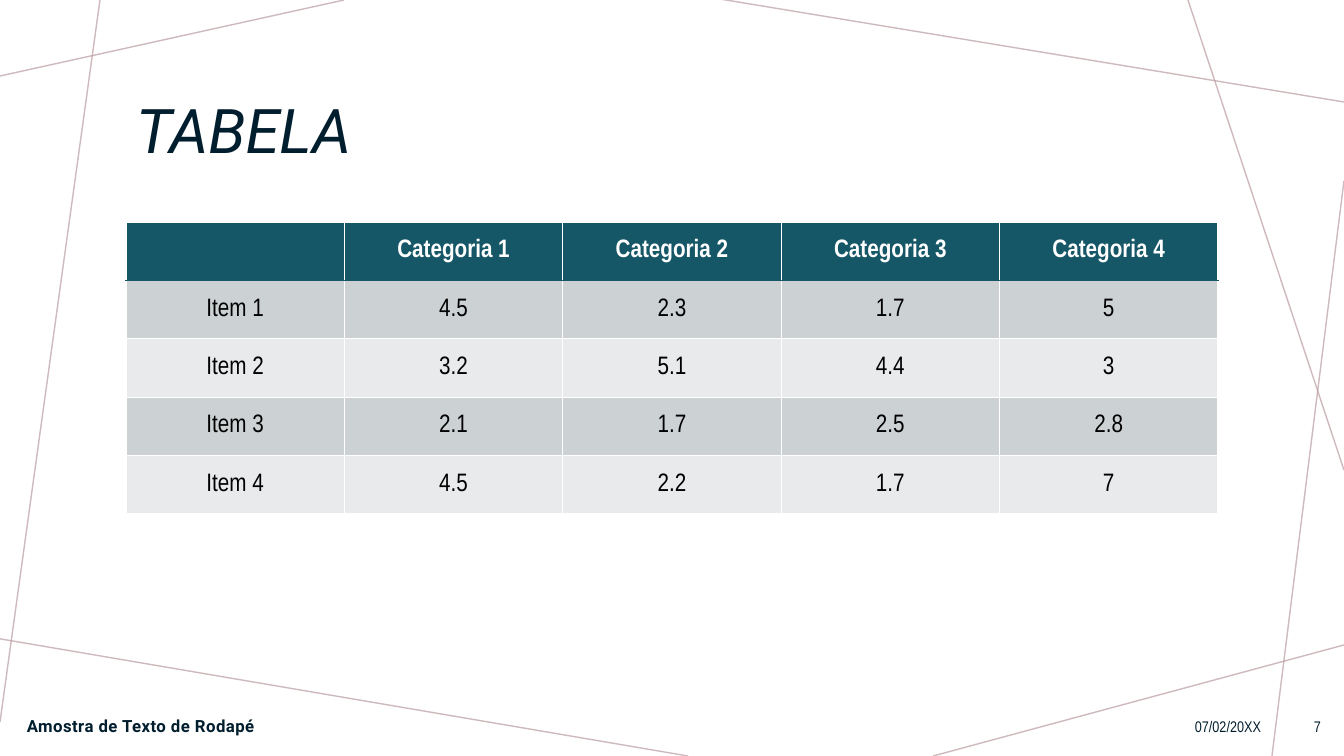
"""Builds a slide with a category table framed by thin crossing lines."""
from lxml import etree
from pptx import Presentation
from pptx.dml.color import RGBColor
from pptx.enum.shapes import MSO_CONNECTOR
from pptx.enum.text import MSO_ANCHOR, MSO_AUTO_SIZE, PP_ALIGN
from pptx.oxml.ns import qn
from pptx.util import Emu, Pt

STRAIGHT = MSO_CONNECTOR.STRAIGHT
MIDDLE = MSO_ANCHOR.MIDDLE
NO_FIT = MSO_AUTO_SIZE.NONE
LEFT, CENTER, RIGHT = PP_ALIGN.LEFT, PP_ALIGN.CENTER, PP_ALIGN.RIGHT
SCALE = 914400 / 100.8
TITLE_ONLY = 5
NAVY, TEAL, ROSE, WHITE, BLACK = "001E2E", "155767", "BA9CA0", "FFFFFF", "000000"
BANDS = ["E8EAEB", "CCD1D3"]


def px(length):
    return Emu(round(length * SCALE))


def format_text(para, align, color, **values):
    para.alignment = align
    for span in para.runs:
        span.font.color.rgb = RGBColor.from_string(color)
        for name, value in values.items():
            setattr(span.font, name, value)


deck = Presentation()
deck.slide_width, deck.slide_height = px(1344), px(756)
page = deck.slides.add_slide(deck.slide_layouts[TITLE_ONLY])
page.background.fill.solid()
page.background.fill.fore_color.rgb = RGBColor.from_string(WHITE)

frame_lines = [
    (344, 0, 0, 76),
    (100, 0, 0, 722),
    (688, 756, -5, 638),
    (1344, 645, 933, 756),
    (1344, 181, 1272, 756),
    (1344, 470, 1188, 0),
    (1344, 102, 720, -1),
]
for ends in frame_lines:
    connector = page.shapes.add_connector(STRAIGHT, *map(px, ends))
    connector.line.width = Pt(1)
    connector.line.color.rgb = RGBColor.from_string(ROSE)
    properties = connector._element.spPr
    etree.SubElement(properties, qn("a:effectLst"))
    color_node = properties.find(".//" + qn("a:srgbClr"))
    etree.SubElement(color_node, qn("a:alpha"), val="70000")

title = page.shapes.title
title_place = {"left": 126, "top": 58, "width": 1092, "height": 152}
for name, value in title_place.items():
    setattr(title, name, px(value))
title.text_frame.text = "TABELA"
title.text_frame.vertical_anchor = MIDDLE
title.text_frame.auto_size = NO_FIT
title_para = title.text_frame.paragraphs[0]
title_para.line_spacing = 0.9
format_text(title_para, LEFT, NAVY, name="Roboto", size=Pt(44), italic=True)

rows = [
    ["", "Categoria 1", "Categoria 2", "Categoria 3", "Categoria 4"],
    ["Item 1", "4.5", "2.3", "1.7", "5"],
    ["Item 2", "3.2", "5.1", "4.4", "3"],
    ["Item 3", "2.1", "1.7", "2.5", "2.8"],
    ["Item 4", "4.5", "2.2", "1.7", "7"],
]
table = page.shapes.add_table(
    len(rows), len(rows[0]), px(126), px(222), px(1092), px(292)
).table
for row_index, row in enumerate(rows):
    is_header = row_index == 0
    borders = {side: (WHITE, Pt(1)) for side in ("lnL", "lnR", "lnT", "lnB")}
    if row_index < 2:
        borders["lnB" if is_header else "lnT"] = (TEAL, Pt(0.75))
    for column_index, text in enumerate(row):
        cell = table.cell(row_index, column_index)
        cell.text = text
        cell.vertical_anchor = MIDDLE
        format_text(cell.text_frame.paragraphs[0], CENTER, WHITE if is_header else BLACK,
                    name="Arial Narrow", size=Pt(18), bold=is_header)
        cell_properties = cell._tc.get_or_add_tcPr()
        for side, (color, width) in borders.items():
            border = etree.SubElement(cell_properties, qn("a:" + side), w=str(int(width)))
            border_fill = etree.SubElement(border, qn("a:solidFill"))
            etree.SubElement(border_fill, qn("a:srgbClr"), val=color)
        cell.fill.solid()
        cell.fill.fore_color.rgb = RGBColor.from_string(TEAL if is_header else BANDS[row_index % 2])

footers = [
    ("Amostra de Texto de Rodapé", 17, 496, LEFT, {"name": "Roboto", "size": Pt(12), "bold": True}),
    ("07/02/20XX", 808, 463, RIGHT, {"name": "Arial Narrow", "size": Pt(11)}),
    ("7", 1279, 52, RIGHT, {"name": "Arial Narrow", "size": Pt(11)}),
]
for text, left, width, align, values in footers:
    box = page.shapes.add_textbox(px(left), px(706), px(width), px(40))
    box.text_frame.word_wrap = True
    box.text_frame.vertical_anchor = MIDDLE
    box.text_frame.text = text
    para = box.text_frame.paragraphs[0]
    format_text(para, align, NAVY, **values)
    if align == LEFT:
        para.runs[0]._r.get_or_add_rPr().set("spc", "30")

deck.save("out.pptx")
